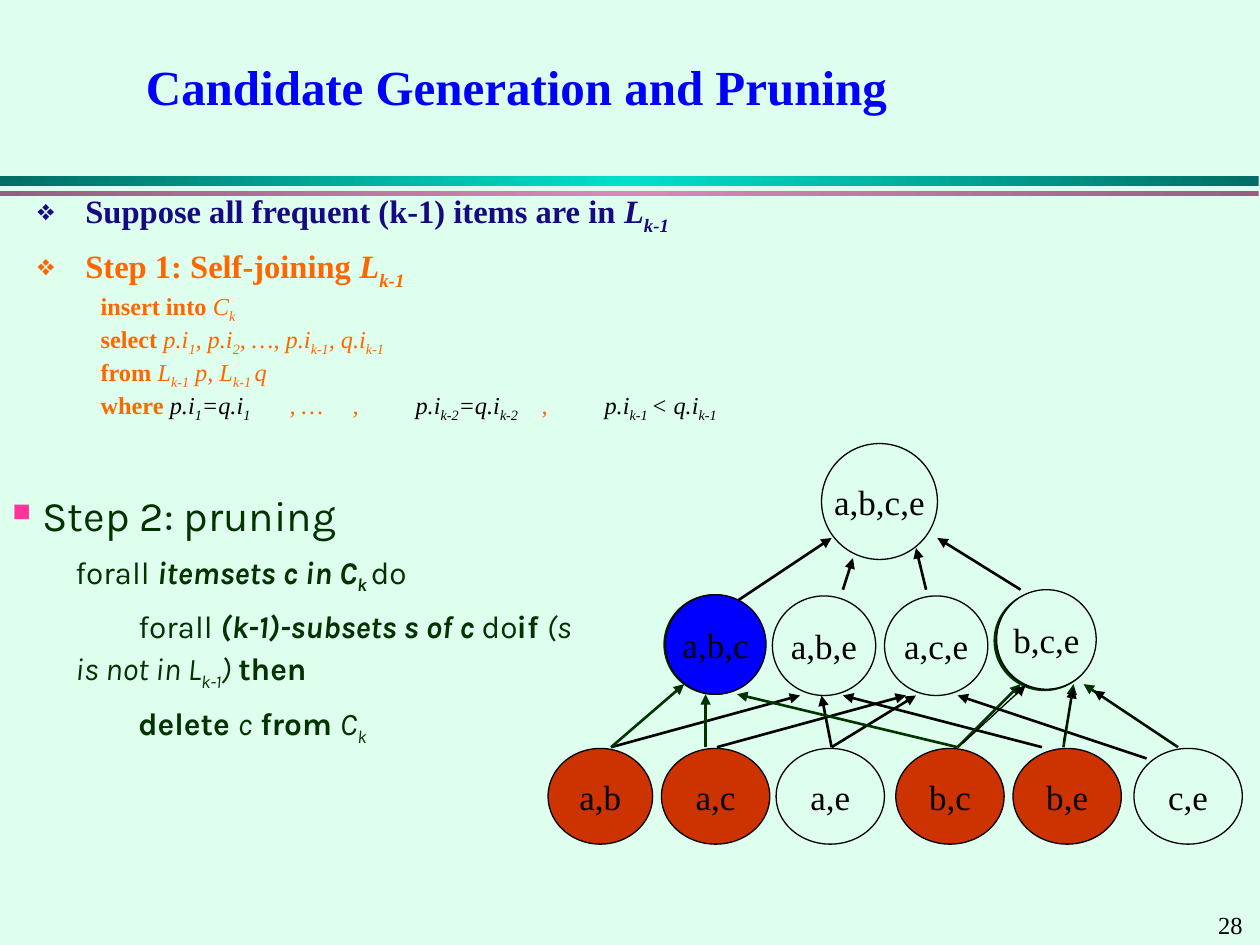
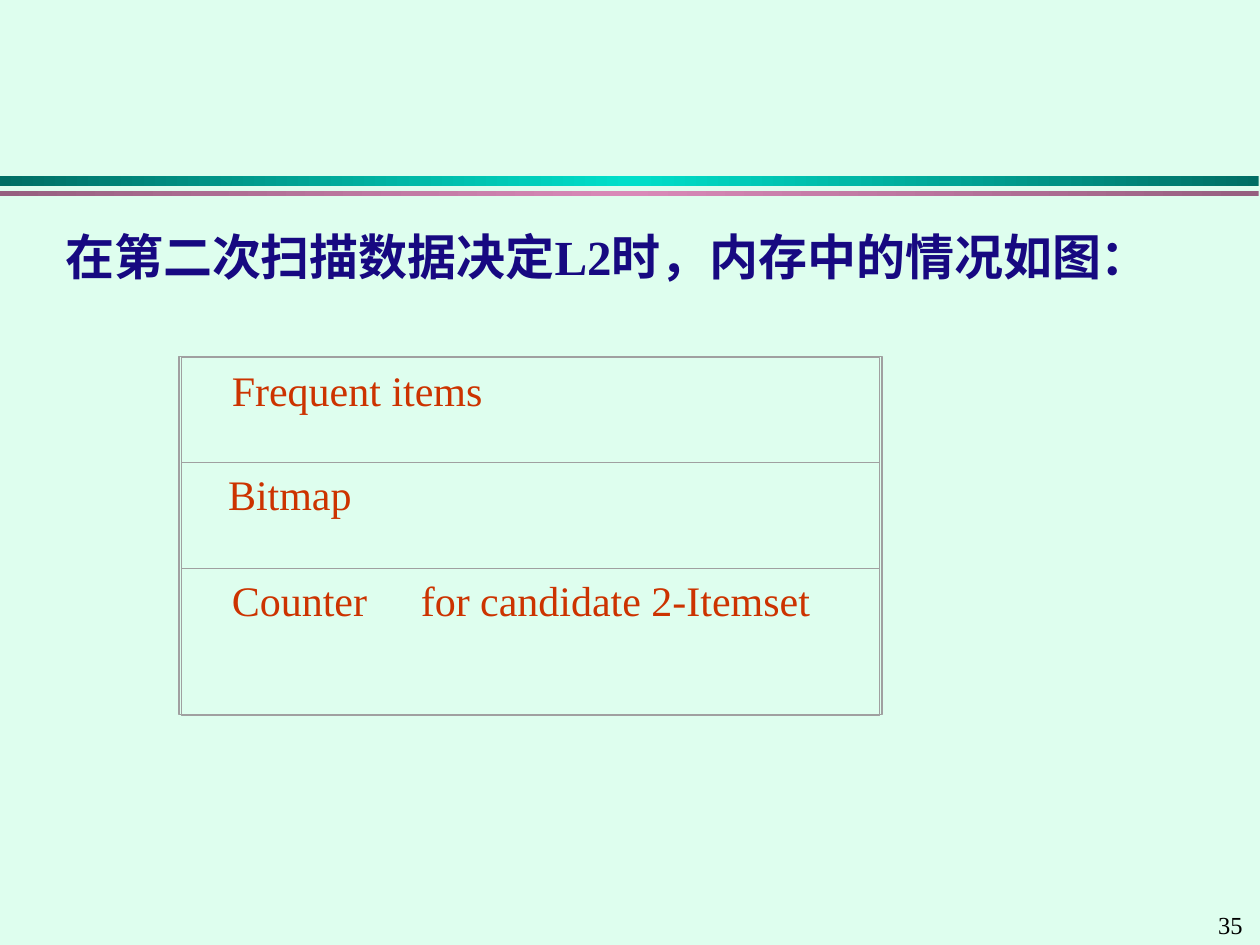
from copy import deepcopy

from lxml.etree import SubElement
from pptx import Presentation
from pptx.dml.color import RGBColor
from pptx.enum.shapes import MSO_CONNECTOR, MSO_SHAPE
from pptx.enum.text import MSO_ANCHOR, PP_ALIGN
from pptx.oxml.ns import qn
from pptx.util import Inches, Pt

# Shared look
MINT = RGBColor(0xDE, 0xFE, 0xEE)
BLACK = RGBColor(0, 0, 0)
BLUE = RGBColor(0, 0, 0xFF)
NAVY = RGBColor(0x17, 0x09, 0x81)
ORANGE = RGBColor(0xFF, 0x66, 0)
RED = RGBColor(0xCC, 0x33, 0)
GREEN = RGBColor(0, 0x33, 0)
PINK = RGBColor(0xFF, 0x33, 0x99)
GREY = RGBColor(0xA0, 0xA0, 0xA0)
TEAL_EDGE, TEAL_MID = RGBColor(0, 0x6E, 0x64), RGBColor(0, 0xDF, 0xCA)
MAUVE_EDGE, MAUVE_MID = RGBColor(0x96, 0x5F, 0x7F), RGBColor(0xD9, 0x89, 0xB8)
SERIF, SANS = "Times New Roman", "Karla"


def add_shape(slide, kind, box, fill=None, line=None, width=0.74):
    shape = slide.shapes.add_shape(kind, *map(Inches, box))
    shape.shadow.inherit = False
    if fill is None:
        shape.fill.background()
    else:
        shape.fill.solid()
        shape.fill.fore_color.rgb = fill
    if line is None:
        shape.line.fill.background()
    else:
        shape.line.color.rgb = line
        shape.line.width = Pt(width)
    return shape


def add_band(slide, top, height, edge, middle):
    band = add_shape(slide, MSO_SHAPE.RECTANGLE, (0, top, 9.99, height))
    band.fill.gradient()
    band.fill.gradient_angle = 0
    stops = band._element.spPr.find(".//" + qn("a:gsLst"))
    stops.append(deepcopy(stops[0]))
    for stop, place, color in zip(band.fill.gradient_stops, (0, 0.5, 1),
                                  (edge, middle, edge)):
        stop.position = place
        stop.color.rgb = color


def add_text_frame(slide, box):
    frame = slide.shapes.add_textbox(*map(Inches, box)).text_frame
    frame.word_wrap = True
    return frame


def add_runs(paragraph, runs, size, color, font=SERIF):
    """Each run is (text, flags[, colour]); flags: b bold, i italic, _ subscript."""
    for text, flags, *own_color in runs:
        run = paragraph.add_run()
        run.text = text
        run.font.name = font
        run.font.size = Pt(size)
        run.font.color.rgb = own_color[0] if own_color else color
        run.font.bold = "b" in flags
        run.font.italic = "i" in flags
        if "_" in flags:
            run._r.get_or_add_rPr().set("baseline", "-25000")


def set_layout(paragraph, left=0, first=0, before=0, spacing=1.0,
               bullet=None, tabs=()):
    """bullet is (character, colour, percent of the text size)."""
    paragraph.space_before = Pt(before)
    paragraph.line_spacing = spacing
    props = paragraph._p.get_or_add_pPr()
    props.set("marL", str(Inches(left)))
    props.set("indent", str(Inches(first)))
    if bullet:
        char, color, percent = bullet
        SubElement(SubElement(props, qn("a:buClr")), qn("a:srgbClr"), val=str(color))
        SubElement(props, qn("a:buSzPct"), val=str(percent * 1000))
        SubElement(props, qn("a:buChar"), char=char)
    if tabs:
        stops = SubElement(props, qn("a:tabLst"))
        for position in tabs:
            SubElement(stops, qn("a:tab"), pos=str(Inches(position)), algn="l")


def add_paragraph(frame, runs, size, color, font=SERIF, **layout):
    paragraph = frame.paragraphs[0]
    if paragraph.runs:
        paragraph = frame.add_paragraph()
    set_layout(paragraph, **layout)
    add_runs(paragraph, runs, size, color, font)


def add_node(slide, box, label, fill=MINT):
    node = add_shape(slide, MSO_SHAPE.OVAL, box, fill, BLACK)
    frame = node.text_frame
    frame.word_wrap = False
    frame.vertical_anchor = MSO_ANCHOR.MIDDLE
    frame.paragraphs[0].alignment = PP_ALIGN.CENTER
    add_runs(frame.paragraphs[0], [(label, "")], 20, BLACK)


def add_arrows(slide, ends, color=BLACK, width=1.5):
    for points in ends:
        arrow = slide.shapes.add_connector(MSO_CONNECTOR.STRAIGHT,
                                           *map(Inches, points))
        arrow.line.color.rgb = color
        arrow.line.width = Pt(width)
        props = arrow._element.spPr
        SubElement(props.find(qn("a:ln")), qn("a:tailEnd"), type="triangle")
        SubElement(props, qn("a:effectLst"))


def new_slide(deck, number):
    slide = deck.slides.add_slide(deck.slide_layouts[6])
    slide.background.fill.solid()
    slide.background.fill.fore_color.rgb = MINT
    add_band(slide, 1.4, 0.08, TEAL_EDGE, TEAL_MID)
    add_band(slide, 1.52, 0.04, MAUVE_EDGE, MAUVE_MID)
    add_paragraph(add_text_frame(slide, (9.57, 7.17, 0.43, 0.34)),
                  [(number, "")], 14, BLACK)
    return slide


def add_title(slide, text):
    frame = add_text_frame(slide, (1.06, 0.27, 8.52, 0.82))
    frame.vertical_anchor = MSO_ANCHOR.MIDDLE
    add_paragraph(frame, [(text, "b")], 28, BLUE)


def add_join_step(slide):
    frame = add_text_frame(slide, (0.2, 1.47, 9.26, 1.99))
    for lead, color in (("Suppose all frequent (k-1) items are in ", NAVY),
                        ("Step 1: Self-joining ", ORANGE)):
        add_paragraph(frame, [(lead, "b"), ("L", "bi"), ("k-1", "bi_")], 18.6, color,
                      left=0.38, first=-0.38, before=6, bullet=("\u2756", color, 90))
    query = [
        [("insert into ", "b"), ("C", "i"), ("k", "i_")],
        [("select ", "b"), ("p.i", "i"), ("1", "i_"), (", p.i", "i"), ("2", "i_"),
         (", …, p.i", "i"), ("k-1", "i_"), (", q.i", "i"), ("k-1", "i_")],
        [("from ", "b"), ("L", "i"), ("k-1", "i_"), (" p, L", "i"),
         ("k-1 ", "i_"), ("q", "i")],
        [("where ", "b"),
         ("p.i", "i", BLACK), ("1", "i_", BLACK), ("=q.i", "i", BLACK),
         ("1", "i_", BLACK), ("\t, …\t,\t", "i"),
         ("p.i", "i", BLACK), ("k-2", "i_", BLACK), ("=q.i", "i", BLACK),
         ("k-2", "i_", BLACK), ("\t,\t", "i"),
         ("p.i", "i", BLACK), ("k-1 ", "i_", BLACK), ("< q.i", "i", BLACK),
         ("k-1", "i_", BLACK)],
    ]
    for runs in query:
        add_paragraph(frame, runs, 13.9, ORANGE, left=0.5,
                      tabs=(1.33, 1.75, 1.98, 2.91, 3.15))


def add_prune_step(slide):
    frame = add_text_frame(slide, (0, 3.8, 4.7, 2.18))
    add_paragraph(frame, [("Step 2: pruning", "")], 24, GREEN, SANS, left=0.24,
                  first=-0.24, before=6, spacing=1.1, bullet=("\u25a0", PINK, 60))
    loop = [
        [("forall ", ""), ("itemsets c in C", "bi"), ("k ", "bi_"), ("do", "")],
        [("\tforall ", ""), ("(k-1)-subsets s of c ", "bi"), ("do\t\t", ""),
         ("if ", "b"), ("(s is not in L", "i"), ("k-1", "i_"), (") ", "i"),
         ("then", "b")],
        [("\tdelete ", "b"), ("c", "i"), (" from ", "b"), ("C", "i"), ("k", "i_")],
    ]
    for runs in loop:
        add_paragraph(frame, runs, 18, GREEN, SANS, left=0.5, before=4.5,
                      spacing=1.1, tabs=(1, 1.18))


def add_lattice(slide):
    # Pairs, triples and the top itemset
    for left, label, fill in ((4.35, "a,b", RED), (5.25, "a,c", RED),
                              (6.16, "a,e", MINT), (7.11, "b,c", RED),
                              (8.04, "b,e", RED), (9, "c,e", MINT)):
        width = 0.83 if label == "a,b" else 0.86
        add_node(slide, (left, 5.94, width, 0.76), label, fill)
    for left, label in ((6.13, "a,b,e"), (7.02, "a,c,e")):
        add_node(slide, (left, 4.73, 0.82, 0.79), label)
    add_node(slide, (6.52, 3.52, 0.92, 0.92), "a,b,c,e")

    # Plain subset arrows
    pair_y, triple_y = 5.93, 5.52
    add_arrows(slide, [(start, pair_y, end, triple_y) for start, end in (
        (4.85, 6.35), (5.69, 7.19), (6.6, 6.52), (6.6, 7.27), (8.27, 6.69))])
    add_arrows(slide, [(6.69, 4.68, 6.77, 4.43), (5.85, 4.77, 6.6, 4.27),
                       (7.35, 4.68, 7.27, 4.35), (8.1, 4.68, 7.44, 4.27)])

    # Candidate a,b,c: dark rim, subset arrows, node
    add_shape(slide, MSO_SHAPE.OVAL, (5.27, 4.72, 0.8, 0.79), GREEN, GREEN)
    add_arrows(slide, [(4.85, pair_y, 5.43, 5.43), (5.6, pair_y, 5.6, 5.51),
                       (7.6, pair_y, 5.85, 5.51)], GREEN)
    add_node(slide, (5.28, 4.72, 0.8, 0.79), "a,b,c", BLUE)
    add_arrows(slide, [(9.1, 6.02, 7.6, 5.52)])

    # Candidate b,c,e: subset arrows, dark rim, node, thin arrows
    add_arrows(slide, [(start, pair_y, end, 5.43) for start, end in (
        (8.44, 8.52), (7.6, 8.1), (9.35, 8.6))], GREEN)
    add_shape(slide, MSO_SHAPE.OVAL, (7.89, 4.69, 0.8, 0.79), GREEN, GREEN)
    add_node(slide, (7.91, 4.68, 0.79, 0.79), "b,c,e")
    add_arrows(slide, [(8.44, 5.89, 8.52, 5.46), (7.64, 5.9, 8.14, 5.44),
                       (9.33, 5.92, 8.68, 5.48)], width=0.74)


def add_memory_map(slide):
    top = 2.84
    for text, height, inset in (("Frequent items", 0.83, 0.4),
                                ("Bitmap", 0.84, 0.37),
                                ("Counter\tfor candidate 2-Itemset", 1.17, 0.4)):
        area = add_shape(slide, MSO_SHAPE.RECTANGLE, (1.44, top, 5.54, height),
                         line=GREY, width=0)
        frame = area.text_frame
        frame.word_wrap = True
        frame.vertical_anchor = MSO_ANCHOR.TOP
        frame.margin_left = Inches(inset)
        add_paragraph(frame, [(text, "")], 24, RED, tabs=(1.33,))
        frame.paragraphs[0].alignment = PP_ALIGN.LEFT
        top += height
    add_shape(slide, MSO_SHAPE.RECTANGLE, (1.42, 2.83, 5.58, 2.84),
              line=GREY, width=0.88)


def main():
    deck = Presentation()
    deck.slide_width, deck.slide_height = Inches(10), Inches(7.5)

    # Candidate generation
    slide = new_slide(deck, "28")
    add_title(slide, "Candidate Generation and Pruning")
    add_join_step(slide)
    add_prune_step(slide)
    add_lattice(slide)

    # Memory during the second scan
    slide = new_slide(deck, "35")
    add_paragraph(add_text_frame(slide, (0.42, 1.75, 9.17, 5.25)),
                  [("在第二次扫描数据决定L2时，内存中的情况如图：", "b")], 28, NAVY,
                  left=0.38, first=-0.38, before=7)
    add_memory_map(slide)

    deck.save("out.pptx")


main()
